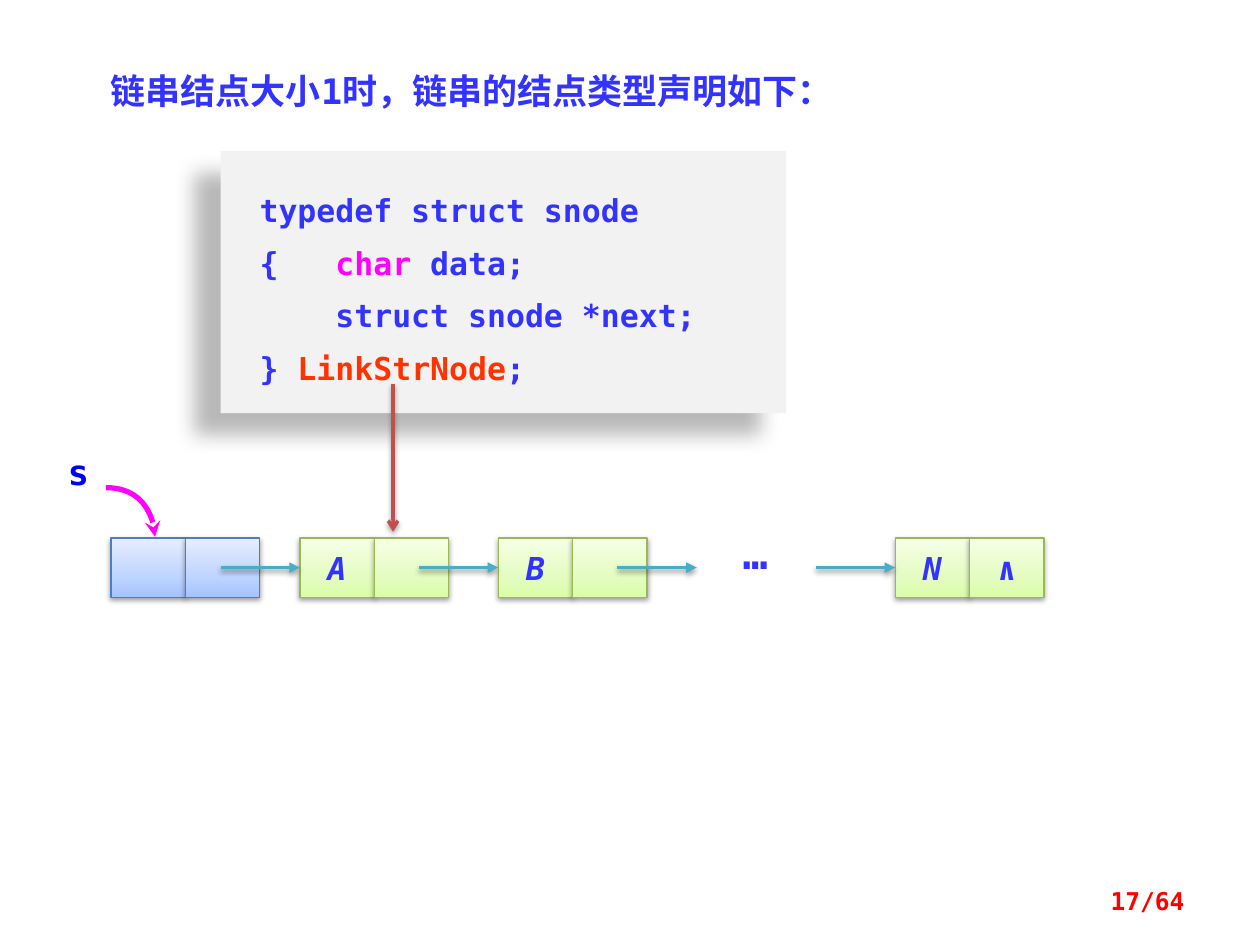
from copy import deepcopy
from lxml.etree import SubElement
from pptx import Presentation
from pptx.dml.color import RGBColor
from pptx.enum.shapes import MSO_CONNECTOR, MSO_SHAPE
from pptx.enum.text import MSO_ANCHOR, PP_ALIGN
from pptx.oxml.ns import qn
from pptx.util import Inches, Pt

FONT = "DejaVu Sans Mono"
BLUE = RGBColor(0x33, 0x33, 0xFF)
PURE_BLUE = RGBColor(0x00, 0x00, 0xFF)
MAGENTA = RGBColor(0xFF, 0x00, 0xFF)
ORANGE = RGBColor(0xFF, 0x33, 0x00)
RED = RGBColor(0xFF, 0x00, 0x00)
BRICK = RGBColor(0xC0, 0x50, 0x4D)
TEAL = RGBColor(0x4B, 0xAC, 0xC6)
PANEL = RGBColor(0xF2, 0xF2, 0xF2)
HEAD_LINE = RGBColor(0x4B, 0x7E, 0xBC)
HEAD_FILL = [RGBColor(0xA4, 0xC4, 0xFF), RGBColor(0xBF, 0xD4, 0xFF), RGBColor(0xE6, 0xEE, 0xFF)]
NODE_LINE = RGBColor(0x98, 0xB9, 0x55)
NODE_FILL = [RGBColor(0xDA, 0xFD, 0xA7), RGBColor(0xE4, 0xFC, 0xC2), RGBColor(0xF5, 0xFF, 0xE7)]

CELL_W, CELL_H = 0.59, 0.47
SLOT_PITCH = 1.575
LINK_LENGTH = 0.63


def style_run(run, size, color, italic=False):
    run.font.name = FONT
    run.font.size = Pt(size)
    run.font.bold = True
    run.font.italic = italic
    run.font.color.rgb = color


def add_shadow(item, alpha=38, blur=3.1, distance=1.6, angle=90):
    effects = SubElement(item._element.spPr, qn("a:effectLst"))
    shadow = SubElement(effects, qn("a:outerShdw"), blurRad=str(int(Pt(blur))), dist=str(int(Pt(distance))),
                        dir=str(angle * 60000), algn="ctr", rotWithShape="0")
    black = SubElement(shadow, qn("a:srgbClr"), val="000000")
    SubElement(black, qn("a:alpha"), val=str(alpha * 1000))


def set_arrowhead(item, kind):
    SubElement(item._element.spPr.find(qn("a:ln")), qn("a:tailEnd"), type=kind)


def add_label(slide, text, left, top, width, height, size, color,
              align=PP_ALIGN.LEFT, anchor=MSO_ANCHOR.TOP):
    label = slide.shapes.add_textbox(Inches(left), Inches(top), Inches(width), Inches(height))
    frame = label.text_frame
    frame.word_wrap = True
    frame.vertical_anchor = anchor
    frame.text = text
    paragraph = frame.paragraphs[0]
    paragraph.alignment = align
    style_run(paragraph.runs[0], size, color)
    return paragraph


def add_arrow(slide, x1, y1, x2, y2, color, head, target=None):
    arrow = slide.shapes.add_connector(MSO_CONNECTOR.STRAIGHT, Inches(x1), Inches(y1), Inches(x2), Inches(y2))
    if target is not None:
        arrow.end_connect(target, 1)
    arrow.line.color.rgb = color
    arrow.line.width = Pt(2)
    set_arrowhead(arrow, head)
    add_shadow(arrow)


def add_code_panel(slide, left, top, width, height):
    panel = slide.shapes.add_shape(MSO_SHAPE.RECTANGLE, Inches(left), Inches(top), Inches(width), Inches(height))
    panel.fill.solid()
    panel.fill.fore_color.rgb = PANEL
    panel.line.fill.background()
    add_shadow(panel, 28, 11.8, 19.7, 141)
    frame = panel.text_frame
    frame.word_wrap = True
    frame.vertical_anchor = MSO_ANCHOR.TOP
    frame.margin_left, frame.margin_right = Inches(0.31), Inches(0.1)
    frame.margin_top = frame.margin_bottom = Inches(0.2)
    code = [
        [("typedef struct snode", BLUE)],
        [("{   ", BLUE), ("char ", MAGENTA), ("data;", BLUE)],
        [("    struct snode *next;", BLUE)],
        [("} ", BLUE), ("LinkStrNode", ORANGE), (";", BLUE)],
    ]
    for number, parts in enumerate(code):
        paragraph = frame.add_paragraph() if number else frame.paragraphs[0]
        paragraph.alignment = PP_ALIGN.LEFT
        paragraph.line_spacing = Pt(30)
        for text, color in parts:
            run = paragraph.add_run()
            run.text = text
            style_run(run, 18, color)


def add_cell(slide, left, top, text, colors, line_color):
    cell = slide.shapes.add_shape(MSO_SHAPE.RECTANGLE, Inches(left), Inches(top), Inches(CELL_W), Inches(CELL_H))
    cell.fill.gradient()
    cell.fill.gradient_angle = 90
    stop_list = cell._element.spPr.find(qn("a:gradFill")).find(qn("a:gsLst"))
    stop_list.append(deepcopy(stop_list[-1]))
    for stop, position, color in zip(cell.fill.gradient_stops, (0, 0.35, 1), colors):
        stop.position = position
        stop.color.rgb = color
    cell.line.color.rgb = line_color
    cell.line.width = Pt(0.75)
    add_shadow(cell)
    if text:
        frame = cell.text_frame
        frame.word_wrap = False
        frame.vertical_anchor = MSO_ANCHOR.MIDDLE
        frame.text = text
        frame.paragraphs[0].alignment = PP_ALIGN.CENTER
        style_run(frame.paragraphs[0].runs[0], 18, BLUE, italic=text.isalpha())
    return cell


def add_node(slide, left, top, data, link, colors, line_color):
    data_cell = add_cell(slide, left, top, data, colors, line_color)
    add_cell(slide, left + CELL_W, top, link, colors, line_color)
    return data_cell


def add_head_pointer(slide, left, top, size):
    near, far = size * 0.55, size * 0.45
    points = [(left + near, top), (left + size, top + far), (left + size, top + size)]
    builder = slide.shapes.build_freeform(Inches(left), Inches(top))
    builder.add_line_segments([(Inches(x), Inches(y)) for x, y in points], close=False)
    pointer = builder.convert_to_shape()
    outline = next(pointer._element.iter(qn("a:path")))
    segments = outline.findall(qn("a:lnTo"))
    curve = SubElement(outline, qn("a:cubicBezTo"))
    for segment in segments:
        curve.append(segment[0])
        outline.remove(segment)
    pointer.fill.background()
    pointer.line.color.rgb = MAGENTA
    pointer.line.width = Pt(3)
    set_arrowhead(pointer, "stealth")
    pointer.shadow.inherit = False


def add_linked_list(slide, left, top):
    add_node(slide, left, top, "", "", HEAD_FILL, HEAD_LINE)
    contents = [("A", ""), ("B", ""), None, ("N", "∧")]
    slots = [left + 1.5 + SLOT_PITCH * index for index in range(len(contents))]
    targets = [add_node(slide, x, top, *content, NODE_FILL, NODE_LINE) if content else None
               for x, content in zip(slots, contents)]
    add_label(slide, "…", slots[2] + 0.15, top - 0.13, 0.63, 0.5, 24, BLUE, PP_ALIGN.CENTER)
    add_head_pointer(slide, left - 0.04, top - 0.4, 0.39)
    middle = top + CELL_H / 2
    for x, target in zip(slots, targets):
        add_arrow(slide, x - LINK_LENGTH, middle, x, middle, TEAL, "triangle", target)
    add_label(slide, "s", left - 0.44, top - 0.74, 0.47, 0.44, 20, PURE_BLUE)


def main():
    deck = Presentation()
    deck.slide_width, deck.slide_height = Inches(10), Inches(7.5)
    slide = deck.slides.add_slide(deck.slide_layouts[6])
    heading = add_label(slide, "链串结点大小1时，链串的结点类型声明如下：", 0.78, 0.47, 7.14, 0.45,
                        20, BLUE, PP_ALIGN.JUSTIFY)
    heading.line_spacing = 1.1
    add_code_panel(slide, 1.75, 1.2, 4.49, 2.08)
    add_linked_list(slide, 0.88, 4.27)
    add_arrow(slide, 3.12, 3.05, 3.12, 4.22, BRICK, "arrow")
    add_label(slide, "17/64", 7.17, 6.95, 2.33, 0.4, 14, RED, PP_ALIGN.RIGHT, MSO_ANCHOR.MIDDLE)
    deck.save("out.pptx")


if __name__ == "__main__":
    main()
